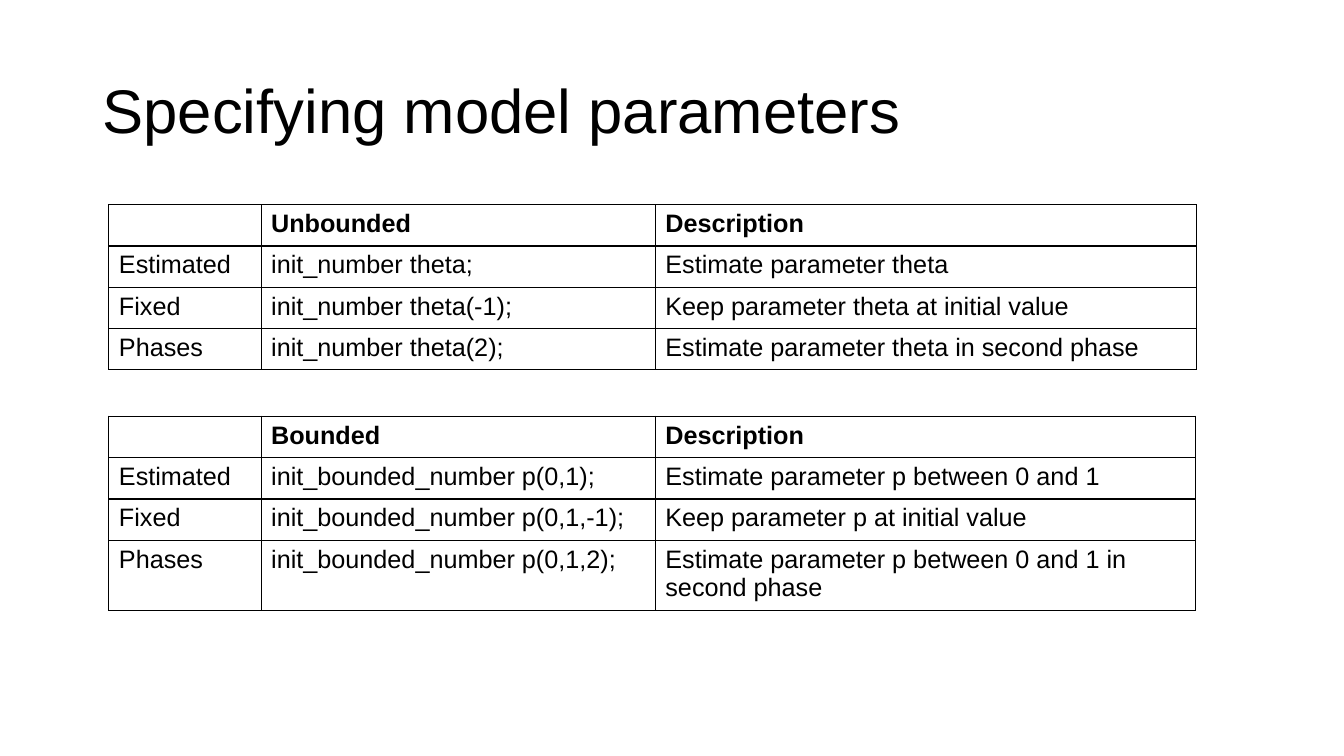
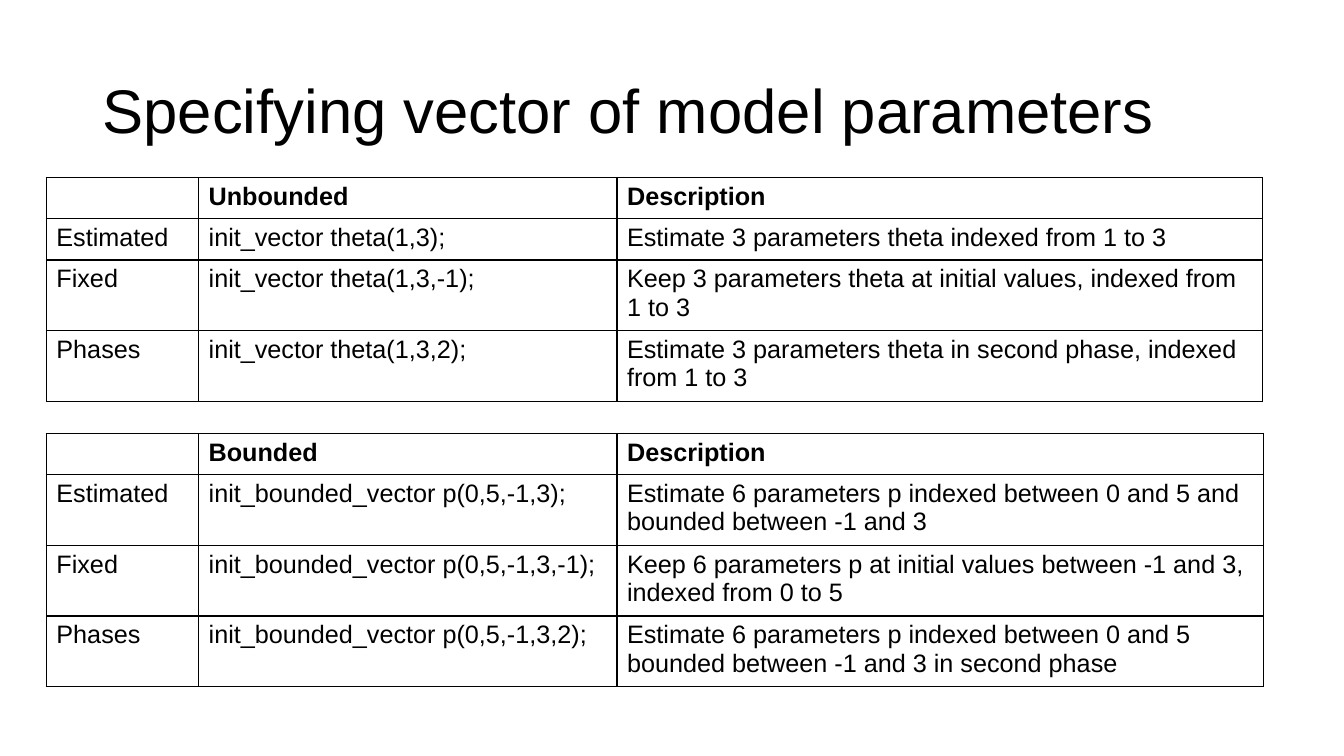
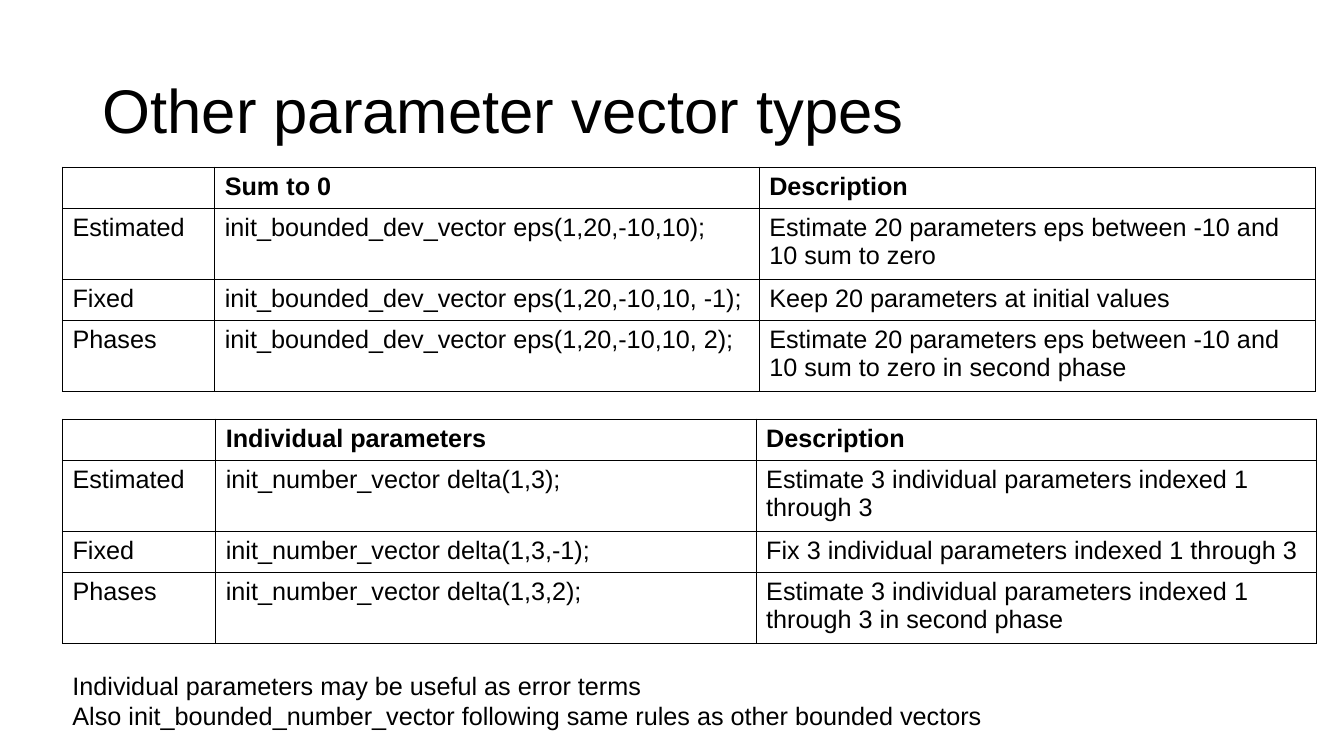
import pptx
import pptx.dml.color
import pptx.enum.text
import pptx.oxml.ns
import pptx.util
from lxml import etree

PX = 9144  # EMU per px, 100 px to the inch
FONT = "Arial"
COLOURS = {"page": "FFFFFF", "text": "000000", "border": "000000"}
TITLE_SIZE, BODY_SIZE = 44, 18
TITLE_AREA = (92, 40, 1150, 145)
ROW_HEIGHT = 41
ROW_LABELS = ("Estimated", "Fixed", "Phases")
BORDER_WIDTH = pptx.util.Pt(1)

# Each table: left, top, column widths, heading, (code, description) per row label
SLIDES = [
    ("Specifying model parameters", [
        (108, 203, (151, 391, 537), "Unbounded", [
            ("init_number theta;", "Estimate parameter theta"),
            ("init_number theta(-1);", "Keep parameter theta at initial value"),
            ("init_number theta(2);", "Estimate parameter theta in second phase"),
        ]),
        (108, 413, (151, 391, 536), "Bounded", [
            ("init_bounded_number p(0,1);", "Estimate parameter p between 0 and 1"),
            ("init_bounded_number p(0,1,-1);", "Keep parameter p at initial value"),
            ("init_bounded_number p(0,1,2);",
             "Estimate parameter p between 0 and 1 in second phase"),
        ]),
    ], []),
    ("Specifying vector of model parameters", [
        (46, 176, (151, 415, 640), "Unbounded", [
            ("init_vector theta(1,3);", "Estimate 3 parameters theta indexed from 1 to 3"),
            ("init_vector theta(1,3,-1);",
             "Keep 3 parameters theta at initial values, indexed from 1 to 3"),
            ("init_vector theta(1,3,2);",
             "Estimate 3 parameters theta in second phase, indexed from 1 to 3"),
        ]),
        (46, 430, (151, 415, 641), "Bounded", [
            ("init_bounded_vector p(0,5,-1,3);",
             "Estimate 6 parameters p indexed between 0 and 5 and bounded between -1 and 3"),
            ("init_bounded_vector p(0,5,-1,3,-1);",
             "Keep 6 parameters p at initial values between -1 and 3, indexed from 0 to 5"),
            ("init_bounded_vector p(0,5,-1,3,2);",
             "Estimate 6 parameters p indexed between 0 and 5 bounded between -1 and 3 "
             "in second phase"),
        ]),
    ], []),
    ("Other parameter vector types", [
        (62, 166, (151, 540, 552), "Sum to 0", [
            ("init_bounded_dev_vector eps(1,20,-10,10);",
             "Estimate 20 parameters eps between -10 and 10 sum to zero"),
            ("init_bounded_dev_vector eps(1,20,-10,10, -1);",
             "Keep 20 parameters at initial values"),
            ("init_bounded_dev_vector eps(1,20,-10,10, 2);",
             "Estimate 20 parameters eps between -10 and 10 sum to zero in second phase"),
        ]),
        (62, 416, (152, 536, 556), "Individual parameters", [
            ("init_number_vector delta(1,3);",
             "Estimate 3 individual parameters indexed 1 through 3"),
            ("init_number_vector delta(1,3,-1);",
             "Fix 3 individual parameters indexed 1 through 3"),
            ("init_number_vector delta(1,3,2);",
             "Estimate 3 individual parameters indexed 1 through 3 in second phase"),
        ]),
    ], [
        "Individual parameters may be useful as error terms",
        "Also init_bounded_number_vector following same rules as other bounded vectors",
    ]),
]
NOTE_AREA = (62, 660, 1019, 71)


def colour(name):
    return pptx.dml.color.RGBColor.from_string(COLOURS[name])


def add_span(para, text, size=BODY_SIZE, bold=False):
    span = para.add_run()
    span.text = text
    span.font.name = FONT
    span.font.size = pptx.util.Pt(size)
    span.font.bold = bold
    span.font.color.rgb = colour("text")


def add_text(page, area, lines, size=BODY_SIZE, spacing=None, middle=False):
    box = page.shapes.add_textbox(*(length * PX for length in area))
    frame = box.text_frame
    frame.word_wrap = True
    if middle:
        frame.vertical_anchor = pptx.enum.text.MSO_ANCHOR.MIDDLE
    for index, line in enumerate(lines):
        para = frame.add_paragraph() if index else frame.paragraphs[0]
        para.line_spacing = spacing
        add_span(para, line, size)


def add_borders(cell):
    """Draw all four edges; the schema wants them ahead of the fill."""
    properties = cell._tc.get_or_add_tcPr()
    for position, edge in enumerate(("a:lnL", "a:lnR", "a:lnT", "a:lnB")):
        line = etree.Element(pptx.oxml.ns.qn(edge), w=str(BORDER_WIDTH))
        fill = etree.SubElement(line, pptx.oxml.ns.qn("a:solidFill"))
        etree.SubElement(fill, pptx.oxml.ns.qn("a:srgbClr"), val=COLOURS["border"])
        properties.insert(position, line)


def add_parameter_table(page, left, top, widths, heading, entries):
    rows = [("", heading, "Description")]
    rows += [(label, *entry) for label, entry in zip(ROW_LABELS, entries)]
    area = (left, top, sum(widths), ROW_HEIGHT * len(rows))
    table = page.shapes.add_table(
        len(rows), len(widths), *(length * PX for length in area)).table
    table.first_row = table.horz_banding = False
    for column, width in zip(table.columns, widths):
        column.width = width * PX
    for row_index, texts in enumerate(rows):
        for column_index, text in enumerate(texts):
            cell = table.cell(row_index, column_index)
            cell.fill.background()
            add_borders(cell)
            if text:
                add_span(cell.text_frame.paragraphs[0], text, bold=row_index == 0)


def add_page(deck, title):
    page = deck.slides.add_slide(deck.slide_layouts[6])
    page.background.fill.solid()
    page.background.fill.fore_color.rgb = colour("page")
    add_text(page, TITLE_AREA, [title], TITLE_SIZE, spacing=0.9, middle=True)
    return page


def main():
    deck = pptx.Presentation()
    deck.slide_width, deck.slide_height = 1333 * PX, 750 * PX
    for title, tables, notes in SLIDES:
        page = add_page(deck, title)
        for table in tables:
            add_parameter_table(page, *table)
        if notes:
            add_text(page, NOTE_AREA, notes)
    deck.save("out.pptx")


if __name__ == "__main__":
    main()
